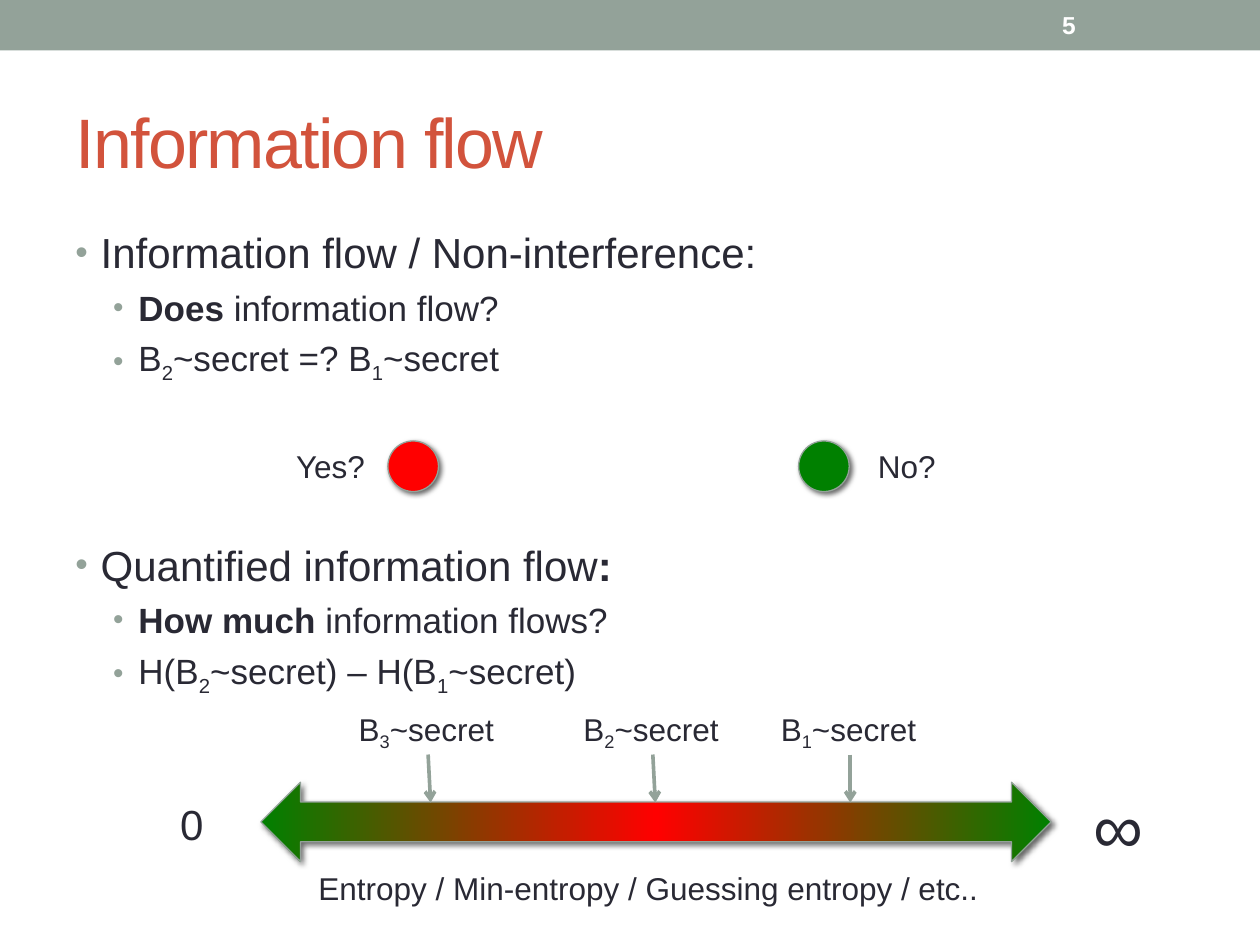
from copy import deepcopy
from dataclasses import dataclass

from pptx import Presentation
from pptx.dml.color import RGBColor
from pptx.enum.shapes import MSO_CONNECTOR, MSO_SHAPE as Preset
from pptx.enum.text import MSO_ANCHOR as Anchor, MSO_AUTO_SIZE as AutoSize, PP_ALIGN as Align
from pptx.oxml.ns import qn
from pptx.util import Cm, Pt
from lxml.etree import SubElement


@dataclass(frozen=True)
class Theme:
    font: str = "Arial"
    sage: str = "93A299"
    title: str = "D2533C"
    ink: str = "292934"
    white: str = "FFFFFF"
    leak: str = "FF0000"
    safe: str = "008000"
    shadow: str = "000000"
    huge: int = 40
    heading: int = 24
    detail: int = 20
    label: int = 18
    number: int = 14


THEME = Theme()
rgb = RGBColor.from_string


def place(shape, left, top, width, height):
    shape.left, shape.top, shape.width, shape.height = map(Cm, (left, top, width, height))


def add_runs(paragraph, text, *, size, color=THEME.ink, bold=False, tracking=0):
    """Write text given as a string or as (string, style) pairs; styles are "", "bold", "sub"."""
    parts = [(text, "")] if isinstance(text, str) else text
    for words, style in parts:
        run = paragraph.add_run()
        run.text = words
        run.font.name = THEME.font
        run.font.size = Pt(size)
        run.font.bold = bold or style == "bold"
        run.font.color.rgb = rgb(color)
        properties = run.font._element
        if style == "sub":
            properties.set("baseline", "-25000")
        if tracking:
            properties.set("spc", str(tracking * 100))


def belief(index, before="", after=""):
    return [(before + "B", ""), (index, "sub"), ("~secret" + after, "")]


def add_label(slide, text, left, top, width, height, size=THEME.label, **style):
    box = slide.shapes.add_textbox(Cm(left), Cm(top), Cm(width), Cm(height))
    frame = box.text_frame
    frame.word_wrap = False
    frame.auto_size = AutoSize.NONE
    add_runs(frame.paragraphs[0], text, size=size, **style)
    return box


def add_bullet(paragraph, text, *, level, before):
    add_runs(paragraph, text, size=THEME.detail if level else THEME.heading)
    paragraph.level = level
    paragraph.space_before = Pt(before)
    properties = paragraph._p.get_or_add_pPr()
    properties.set("marL", str(Cm(1.27 if level else 0.51)))
    properties.set("indent", str(Cm(-0.51)))
    color = SubElement(properties, qn("a:buClr"))
    SubElement(color, qn("a:srgbClr"), val=THEME.sage)
    SubElement(properties, qn("a:buSzPct"), val="85000")
    SubElement(properties, qn("a:buFont"), typeface=THEME.font)
    SubElement(properties, qn("a:buChar"), char="•")


def add_outline_text(slide, items):
    box = slide.shapes.add_textbox(Cm(1.27), Cm(4.45), Cm(22.86), Cm(13.54))
    frame = box.text_frame
    frame.word_wrap = True
    for position, (text, level, before) in enumerate(items):
        paragraph = frame.add_paragraph() if position else frame.paragraphs[0]
        add_bullet(paragraph, text, level=level, before=before)


def add_raised_shape(slide, preset, color, left, top, width, height):
    """Add a thinly outlined shape with a soft shadow to its lower right."""
    shape = slide.shapes.add_shape(preset, Cm(left), Cm(top), Cm(width), Cm(height))
    shape.fill.solid()
    shape.fill.fore_color.rgb = rgb(color)
    shape.line.color.rgb = rgb(THEME.sage)
    shape.line.width = Pt(0.75)
    shape.shadow.inherit = False
    effects = shape._element.spPr.find(qn("a:effectLst"))
    shadow = SubElement(effects, qn("a:outerShdw"), blurRad=str(Pt(3)), dist=str(Pt(2)),
                        dir=str(45 * 60000), algn="tl", rotWithShape="0")
    tint = SubElement(shadow, qn("a:srgbClr"), val=THEME.shadow)
    SubElement(tint, qn("a:alpha"), val="60000")
    return shape


def add_scale_arrow(slide, left, top, width, height):
    """Add the double arrow, fading from its middle colour to the same colour at both ends."""
    scale = add_raised_shape(slide, Preset.LEFT_RIGHT_ARROW, THEME.safe, left, top, width, height)
    scale.fill.gradient()
    scale.fill.gradient_angle = 0
    stops = scale.fill.gradient_stops
    for stop, color, position in zip(stops, (THEME.safe, THEME.leak), (0, 0.5)):
        stop.color.rgb = rgb(color)
        stop.position = position
    stop_list = scale._element.spPr.find(".//" + qn("a:gsLst"))
    far_end = deepcopy(stop_list[0])
    far_end.set("pos", "100000")
    stop_list.append(far_end)


def add_pointer(slide, start_x, end_x, top, bottom):
    pointer = slide.shapes.add_connector(
        MSO_CONNECTOR.STRAIGHT, Cm(start_x), Cm(top), Cm(end_x), Cm(bottom))
    pointer.line.color.rgb = rgb(THEME.sage)
    pointer.line.width = Pt(2.08)
    properties = pointer._element.spPr
    SubElement(properties.find(qn("a:ln")), qn("a:tailEnd"), type="arrow")
    SubElement(properties, qn("a:effectLst"))


def add_header(slide, title_text, page):
    band = slide.shapes.add_shape(Preset.RECTANGLE, 0, 0, Cm(25.4), Cm(1.02))
    band.fill.solid()
    band.fill.fore_color.rgb = rgb(THEME.sage)
    band.line.fill.background()
    band.shadow.inherit = False
    number = add_label(slide, page, 21.16, 0.05, 2.97, 0.91, THEME.number,
                       color=THEME.white, bold=True)
    number.text_frame.word_wrap = True
    number.text_frame.vertical_anchor = Anchor.MIDDLE

    title = slide.shapes.title
    place(title, 1.27, 1.47, 22.86, 2.74)
    title.text_frame.vertical_anchor = Anchor.MIDDLE
    heading = title.text_frame.paragraphs[0]
    heading.alignment = Align.LEFT
    add_runs(heading, title_text, size=THEME.huge, color=THEME.title, tracking=-1)


def main():
    deck = Presentation()
    deck.slide_width, deck.slide_height = Cm(25.4), Cm(19.05)
    slide = deck.slides.add_slide(deck.slide_layouts[5])
    add_header(slide, "Information flow", "5")

    add_outline_text(slide, [
        ("Information flow / Non-interference:", 0, 5),
        ([("Does", "bold"), (" information flow?", "")], 1, 5),
        (belief("2", after=" =? ") + belief("1"), 1, 5),
        ([("Quantified information flow", ""), (":", "bold")], 0, 88.5),
        ([("How much ", "bold"), ("information flows?", "")], 1, 5),
        (belief("2", before="H(", after=") – ") + belief("1", before="H(", after=")"), 1, 5),
    ])

    answer_top, answer_size = 8.89, 1.02
    for answer, text_left, text_width, dot_left, color in (
        ("Yes?", 5.72, 1.9, 7.82, THEME.leak),
        ("No?", 17.45, 1.7, 16.1, THEME.safe),
    ):
        add_label(slide, answer, text_left, answer_top, text_width, answer_size)
        add_raised_shape(slide, Preset.OVAL, color, dot_left, answer_top, answer_size, answer_size)

    add_scale_arrow(slide, 5.26, 15.77, 15.93, 1.6)
    add_label(slide, "0", 3.38, 15.98, 0.99, 1.27, THEME.heading)
    add_label(slide, "∞", 21.79, 15.67, 1.52, 1.96, THEME.huge)
    for index, left, lean in (("3", 6.98, 0.05), ("2", 11.51, 0.05), ("1", 15.49, 0)):
        add_label(slide, belief(index), left, 14.18, 3.3, 1.02)
        middle = left + 1.65
        add_pointer(slide, middle, middle + lean, 15.21, 16.18)
    add_label(slide, "Entropy / Min-entropy / Guessing entropy / etc..", 6.17, 17.4, 13.94, 1.02)

    deck.save("out.pptx")


if __name__ == "__main__":
    main()
